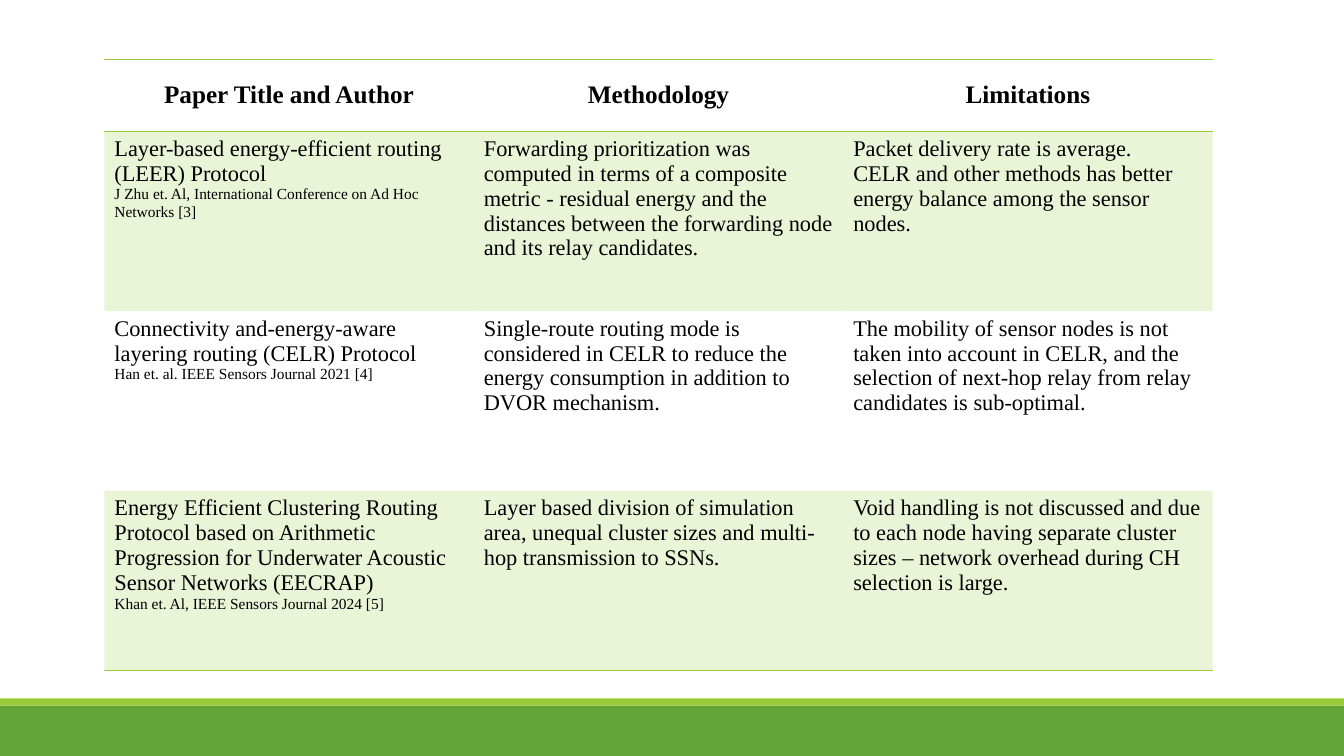
from dataclasses import dataclass

from lxml.etree import SubElement
from pptx import Presentation
from pptx.dml.color import RGBColor
from pptx.enum.shapes import MSO_SHAPE as Preset
from pptx.enum.text import MSO_ANCHOR as Anchor, PP_ALIGN as Align
from pptx.oxml.ns import qn
from pptx.slide import Slide
from pptx.table import Table, _Cell as Cell
from pptx.util import Cm, Pt

GREEN = RGBColor(0x63, 0xA5, 0x37)
LIME = RGBColor(0x99, 0xCB, 0x38)
BLACK = RGBColor(0, 0, 0)
FONT = "Times New Roman"
SLIDE_WIDTH, SLIDE_HEIGHT = Cm(33.87), Cm(19.05)
COLUMN_WIDTH, HEADER_HEIGHT, BODY_HEIGHT = Cm(9.31), Cm(1.82), Cm(4.53)
HEADER_SIZE, BODY_SIZE, AUTHOR_SIZE = 18, 16, 11


@dataclass
class Band:
    top: float
    height: float
    color: RGBColor


@dataclass
class Paper:
    title: str
    author: str
    methodology: str
    limitations: str


BANDS = [Band(17.78, 1.27, GREEN), Band(17.6, 0.18, LIME)]
HEADINGS = ["Paper Title and Author", "Methodology", "Limitations"]
PAPERS = [
    Paper(
        "Layer-based energy-efficient routing (LEER) Protocol",
        "J Zhu et. Al, International Conference on Ad Hoc Networks [3]",
        "Forwarding prioritization was computed in terms of a composite metric - residual energy "
        "and the distances between the forwarding node and its relay candidates.",
        "Packet delivery rate is average.\n"
        "CELR and other methods has better energy balance among the sensor nodes.",
    ),
    Paper(
        "Connectivity and-energy-aware layering routing (CELR) Protocol",
        "Han et. al. IEEE Sensors Journal 2021 [4]",
        "Single-route routing mode is considered in CELR to reduce the energy consumption "
        "in addition to DVOR mechanism.",
        "The mobility of sensor nodes is not taken into account in CELR, and the selection of "
        "next-hop relay from relay\ncandidates is sub-optimal.",
    ),
    Paper(
        "Energy Efficient Clustering Routing Protocol based on Arithmetic Progression for "
        "Underwater Acoustic Sensor Networks (EECRAP)",
        "Khan et. Al, IEEE Sensors Journal 2024 [5]",
        "Layer based division of simulation area, unequal cluster sizes and multi-hop "
        "transmission to SSNs.",
        "Void handling is not discussed and due to each node having separate cluster sizes – "
        "network overhead during CH selection is large.",
    ),
]


def draw_band(page: Slide, band: Band) -> None:
    box = page.shapes.add_shape(Preset.RECTANGLE, 0, Cm(band.top), SLIDE_WIDTH, Cm(band.height))
    box.shadow.inherit = False
    box.fill.solid()
    box.fill.fore_color.rgb = band.color
    box.line.fill.background()


def set_borders(cell: Cell, ruled_sides: str) -> None:
    properties = cell._tc.get_or_add_tcPr()
    for side in "LRTB":
        line = SubElement(properties, qn(f"a:ln{side}"), w=str(Pt(1)))
        if side in ruled_sides:
            fill = SubElement(line, qn("a:solidFill"))
            SubElement(fill, qn("a:srgbClr"), val=str(LIME))
        else:
            SubElement(line, qn("a:noFill"))


def set_fill(cell: Cell, shaded: bool) -> None:
    if not shaded:
        cell.fill.background()
        return
    cell.fill.solid()
    cell.fill.fore_color.rgb = LIME
    color = cell._tc.tcPr.find(qn("a:solidFill")).find(qn("a:srgbClr"))
    SubElement(color, qn("a:alpha"), val="20000")


def write_cell(cell: Cell, text: str, sizes: list[int], header: bool) -> None:
    cell.text_frame.text = text
    cell.vertical_anchor = Anchor.MIDDLE if header else Anchor.TOP
    for para, size in zip(cell.text_frame.paragraphs, sizes):
        para.alignment = Align.CENTER if header else Align.LEFT
        for span in para.runs:
            span.font.name = FONT
            span.font.size = Pt(size)
            span.font.bold = header
            span.font.color.rgb = BLACK


def fill_table(table: Table) -> None:
    rows = [HEADINGS] + [
        [f"{paper.title}\n{paper.author}", paper.methodology, paper.limitations]
        for paper in PAPERS
    ]
    ruled_sides = {0: "TB", 1: "T", len(PAPERS): "B"}
    for row_index, texts in enumerate(rows):
        header = row_index == 0
        table.rows[row_index].height = HEADER_HEIGHT if header else BODY_HEIGHT
        for column_index, text in enumerate(texts):
            cell = table.cell(row_index, column_index)
            second_size = AUTHOR_SIZE if column_index == 0 else BODY_SIZE
            sizes = [HEADER_SIZE] if header else [BODY_SIZE, second_size]
            write_cell(cell, text, sizes, header)
            set_borders(cell, ruled_sides.get(row_index, ""))
            set_fill(cell, row_index % 2 == 1)


def main() -> None:
    deck = Presentation()
    deck.slide_width, deck.slide_height = SLIDE_WIDTH, SLIDE_HEIGHT
    page = deck.slides.add_slide(deck.slide_layouts[6])
    for band in BANDS:
        draw_band(page, band)
    frame = page.shapes.add_table(
        len(PAPERS) + 1, len(HEADINGS), Cm(2.63), Cm(1.49),
        COLUMN_WIDTH * len(HEADINGS), HEADER_HEIGHT + BODY_HEIGHT * len(PAPERS),
    )
    frame.table.horz_banding = False
    frame.table.first_row = False
    for column in frame.table.columns:
        column.width = COLUMN_WIDTH
    fill_table(frame.table)
    deck.save("out.pptx")


if __name__ == "__main__":
    main()
